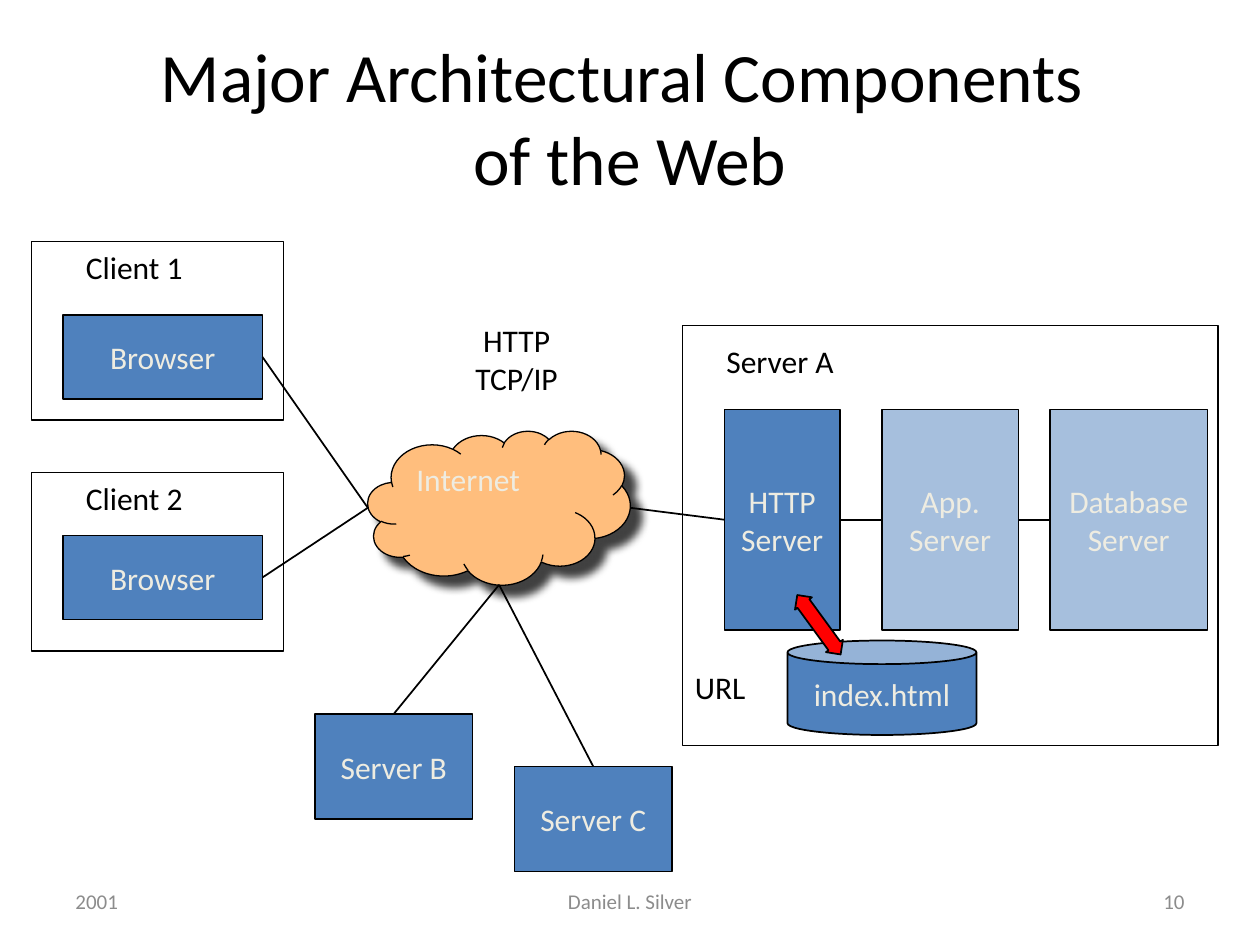
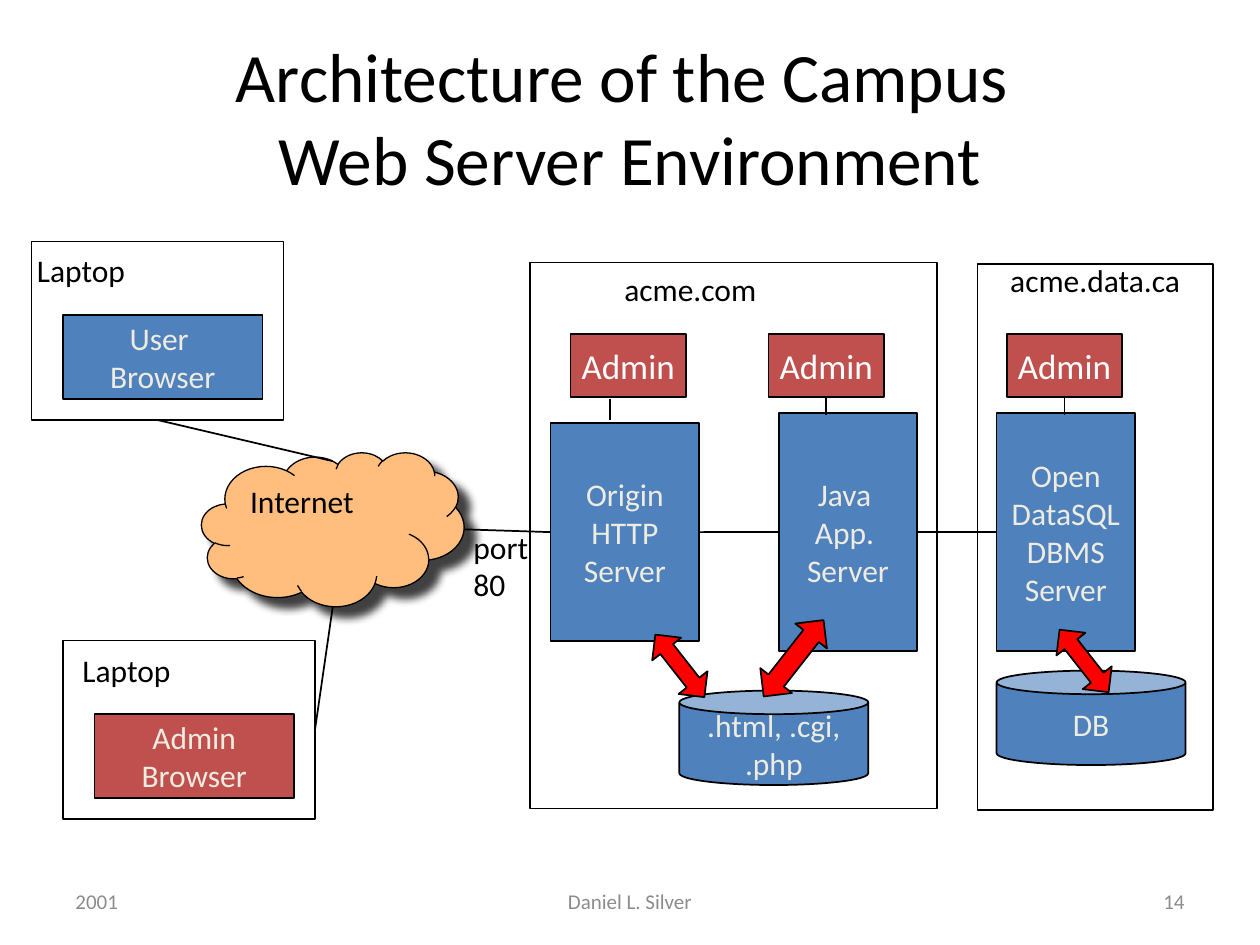
from lxml import etree
from pptx import Presentation, util as u
from pptx.dml.color import RGBColor
from pptx.enum import shapes as es, text as et
from pptx.oxml.ns import qn

Pt = u.Pt
COLORS = {"ink": "000000", "grey": "8C8C8C", "pale": "EEECE1", "white": "FFFFFF",
          "blue": "4F81BD", "red": "C0504D", "arrow": "FF0000", "cloud": "FFBE7D"}
FONT = "Calibri"
ALIGN = {"left": et.PP_ALIGN.LEFT, "center": et.PP_ALIGN.CENTER, "right": et.PP_ALIGN.RIGHT}
MIDDLE, TOP = et.MSO_ANCHOR.MIDDLE, et.MSO_ANCHOR.TOP

# Shared frame: title and footers
TITLE_BOX = (36, 21.6, 648, 90)
FOOTERS = [("2001", (36, 500.4, 168, 28.8), "left"),
           ("Daniel L. Silver", (246, 500.4, 228, 28.8), "center"),
           (None, (516, 500.4, 168, 28.8), "right")]

# Kinds of part: preset, fill, fill opacity, line width, text colour, text size
RECT, CAN = es.MSO_SHAPE.RECTANGLE, es.MSO_SHAPE.CAN
KINDS = {
    "frame": (RECT, None, 100, 1, "ink", 18),
    "box": (RECT, "blue", 100, 1, "pale", 18),
    "faded": (RECT, "blue", 50, 1, "pale", 18),
    "admin box": (RECT, "red", 100, 1, "pale", 18),
    "admin": (RECT, "red", 100, 1, "white", 20),
    "store": (CAN, "blue", 100, 1, "pale", 18),
    "cloud": (es.MSO_SHAPE.CLOUD, "cloud", 100, 0.75, "ink", 18),
    "pale cloud": (es.MSO_SHAPE.CLOUD, "cloud", 100, 0.75, "pale", 18),
}
SHADOW = {"blurRad": Pt(5), "dist": Pt(8.5), "dir": 45 * 60000, "algn": "tl", "rotWithShape": 0}

# Sizes that recur
FRAME, BROWSER, SERVER = (144, 102), (114, 48), (90, 60)
STORE, CLOUD = (108, 54), (150, 88)
ADMIN, TALL = (66, 36), (79.2, 136)

SLIDES = [
    {"title": "Major Architectural Components \vof the Web", "number": "10",
     # name: kind, (left, top), (width, height), text
     "parts": {
         "cloud": ("pale cloud", (210.2, 246.2), CLOUD, "Internet"),
         "client 1": ("frame", (18, 138), FRAME, ""),
         "client 2": ("frame", (18, 270), FRAME, ""),
         "server A": ("frame", (390, 186), (306, 240), ""),
         "browser 1": ("box", (36, 180), BROWSER, "Browser"),
         "browser 2": ("box", (36, 306), BROWSER, "Browser"),
         "http": ("box", (414, 234), (66, 126), "HTTP\nServer"),
         "app": ("faded", (504, 234), (78, 126), "App.\nServer"),
         "database": ("faded", (600, 234), (90, 126), "Database\nServer"),
         "server B": ("box", (180, 408), SERVER, "Server B"),
         "server C": ("box", (294, 438), SERVER, "Server C"),
         "page": ("store", (450, 366), STORE, "index.html")},
     "labels": [("Client 1", (42, 138, 91, 36), "left"),
                ("Client 2", (42, 270, 91, 36), "left"),
                ("Server A", (408, 192, 101, 36), "left"),
                ("URL", (390, 378, 63, 36), "left"),
                ("HTTP\nTCP/IP", (252, 180, 86.4, 65), "center")],
     "links": [(("browser 1", "right"), ("cloud", "left")),
               (("browser 2", "right"), ("cloud", "left")),
               (("cloud", "right"), ("http", "left")),
               (("http", "right"), ("app", "left")),
               (("app", "right"), ("database", "left")),
               (("server B", "top"), ("cloud", "bottom")),
               (("server C", "top"), ("cloud", "bottom"))],
     # box, rotation, head length
     "arrows": [((462, 336, 12, 42), 323.9, 0.7)]},
    {"title": "Architecture of the Campus \vWeb Server Environment", "number": "14",
     "parts": {
         "cloud": ("cloud", (115.2, 258.5), CLOUD, "Internet"),
         "user laptop": ("frame", (18, 138), FRAME, ""),
         "admin laptop": ("frame", (36, 366), FRAME, ""),
         "web host": ("frame", (303, 150), (232.6, 312), ""),
         "data host": ("frame", (558.5, 151), (134.8, 312), ""),
         "user browser": ("box", (36, 180), BROWSER, "User \nBrowser"),
         "admin browser": ("admin box", (54, 408), BROWSER, "Admin\nBrowser"),
         "http": ("box", (314.6, 241.8), (85, 124.6), "Origin\nHTTP\nServer"),
         "app": ("box", (445, 236), TALL, "Java \nApp. \nServer"),
         "database": ("box", (569.5, 236), TALL, "Open\nDataSQL\nDBMS\nServer"),
         "http admin": ("admin", (326, 190.8), ADMIN, "Admin"),
         "app admin": ("admin", (439.2, 190.8), ADMIN, "Admin"),
         "database admin": ("admin", (575.3, 190.8), ADMIN, "Admin"),
         "files": ("store", (388.2, 394.6), STORE, ".html, .cgi,\n.php"),
         "tables": ("store", (569.5, 383.2), STORE, "DB")},
     "labels": [("Laptop", (14, 139.6, 153, 29), "left"),
                ("Laptop", (40, 368.6, 66, 29), "left"),
                ("acme.com", (349, 151, 91, 29), "center"),
                ("acme.data.ca", (565.8, 145.4, 120, 29), "center"),
                ("port \n80", (263.5, 298, 50, 50), "left")],
     "links": [(("user laptop", "bottom"), (190, 263.5)),
               (("admin laptop", "right"), ("cloud", "bottom")),
               (("cloud", "right"), ("http", "left")),
               (("http", "right"), ("app", "left")),
               (("app", "right"), ("database", "left")),
               ((348.5, 228), (348.5, 240)),
               (("app admin", "bottom"), (472.2, 237)),
               (("database admin", "bottom"), (608.3, 237))],
     "arrows": [((442, 348.5, 23, 55.4), 38.1, 0.487),
                ((609, 355, 21, 45.4), 321.9, 0.437),
                ((378, 357.8, 21, 45.4), 321.9, 0.437)]},
]


def apply(target, **values):
    for name, value in values.items():
        setattr(target, name, value)


def rgb(name):
    return RGBColor.from_string(COLORS[name])


def points(box):
    return [Pt(value) for value in box]


def write(shape, content, size, color, align="center", anchor=MIDDLE, wrap=True):
    frame = shape.text_frame
    frame.text = content
    apply(frame, word_wrap=wrap, vertical_anchor=anchor, auto_size=et.MSO_AUTO_SIZE.NONE)
    for paragraph in frame.paragraphs:
        paragraph.alignment = ALIGN[align]
        for run in paragraph.runs:
            apply(run.font, name=FONT, size=Pt(size))
            run.font.color.rgb = rgb(color)


def add_label(slide, content, box, align, size=18, color="ink", anchor=TOP):
    write(slide.shapes.add_textbox(*points(box)), content, size, color, align, anchor)


def add_preset(slide, preset, box, fill, width, opacity=100):
    shape = slide.shapes.add_shape(preset, *points(box))
    shape.shadow.inherit = False
    shape.line.color.rgb = rgb("ink")
    shape.line.width = Pt(width)
    if fill is None:
        shape.fill.background()
        return shape
    shape.fill.solid()
    shape.fill.fore_color.rgb = rgb(fill)
    if opacity < 100:
        color = shape._element.spPr.find(qn("a:solidFill"))[0]
        etree.SubElement(color, qn("a:alpha"), val=str(opacity * 1000))
    return shape


def add_shadow(shape):
    effects = shape._element.spPr.find(qn("a:effectLst"))
    values = {name: str(value) for name, value in SHADOW.items()}
    shadow = etree.SubElement(effects, qn("a:outerShdw"), **values)
    color = etree.SubElement(shadow, qn("a:srgbClr"), val=COLORS["ink"])
    etree.SubElement(color, qn("a:alpha"), val="75000")


def add_part(slide, kind, place, size, content):
    preset, fill, opacity, width, color, font_size = KINDS[kind]
    shape = add_preset(slide, preset, place + size, fill, width, opacity)
    is_cloud = preset == es.MSO_SHAPE.CLOUD
    if is_cloud:
        add_shadow(shape)
    if content:
        write(shape, content, font_size, color, "left" if is_cloud else "center",
              TOP if is_cloud else MIDDLE, is_cloud)


def end_point(parts, end):
    """A point as it is, or the middle of one side of a named part."""
    if not isinstance(end[0], str):
        return end
    name, side = end
    _, (left, top), (width, height), _ = parts[name]
    across, down = {"left": (0, 0.5), "right": (1, 0.5),
                    "top": (0.5, 0), "bottom": (0.5, 1)}[side]
    return left + across * width, top + down * height


def add_link(slide, start, end):
    line = slide.shapes.add_connector(es.MSO_CONNECTOR.STRAIGHT, *points(start + end))
    line.line.color.rgb = rgb("ink")
    line.line.width = Pt(1)
    etree.SubElement(line._element.spPr, qn("a:effectLst"))


def add_arrow(slide, box, rotation, head):
    arrow = add_preset(slide, es.MSO_SHAPE.UP_DOWN_ARROW, box, "arrow", 1)
    arrow.rotation = rotation
    arrow.adjustments[0], arrow.adjustments[1] = 0.5, head


presentation = Presentation()
apply(presentation, slide_width=Pt(720), slide_height=Pt(540))
for page in SLIDES:
    slide = presentation.slides.add_slide(presentation.slide_layouts[5])
    # Title and footers
    title = slide.shapes.title
    apply(title, **dict(zip(("left", "top", "width", "height"), points(TITLE_BOX))))
    write(title, page["title"], 39.6, "ink")
    for content, box, align in FOOTERS:
        add_label(slide, content or page["number"], box, align, 12, "grey", MIDDLE)
    # Diagram
    for part in page["parts"].values():
        add_part(slide, *part)
    for label in page["labels"]:
        add_label(slide, *label)
    for link in page["links"]:
        add_link(slide, *(end_point(page["parts"], end) for end in link))
    for arrow in page["arrows"]:
        add_arrow(slide, *arrow)

presentation.save("out.pptx")
